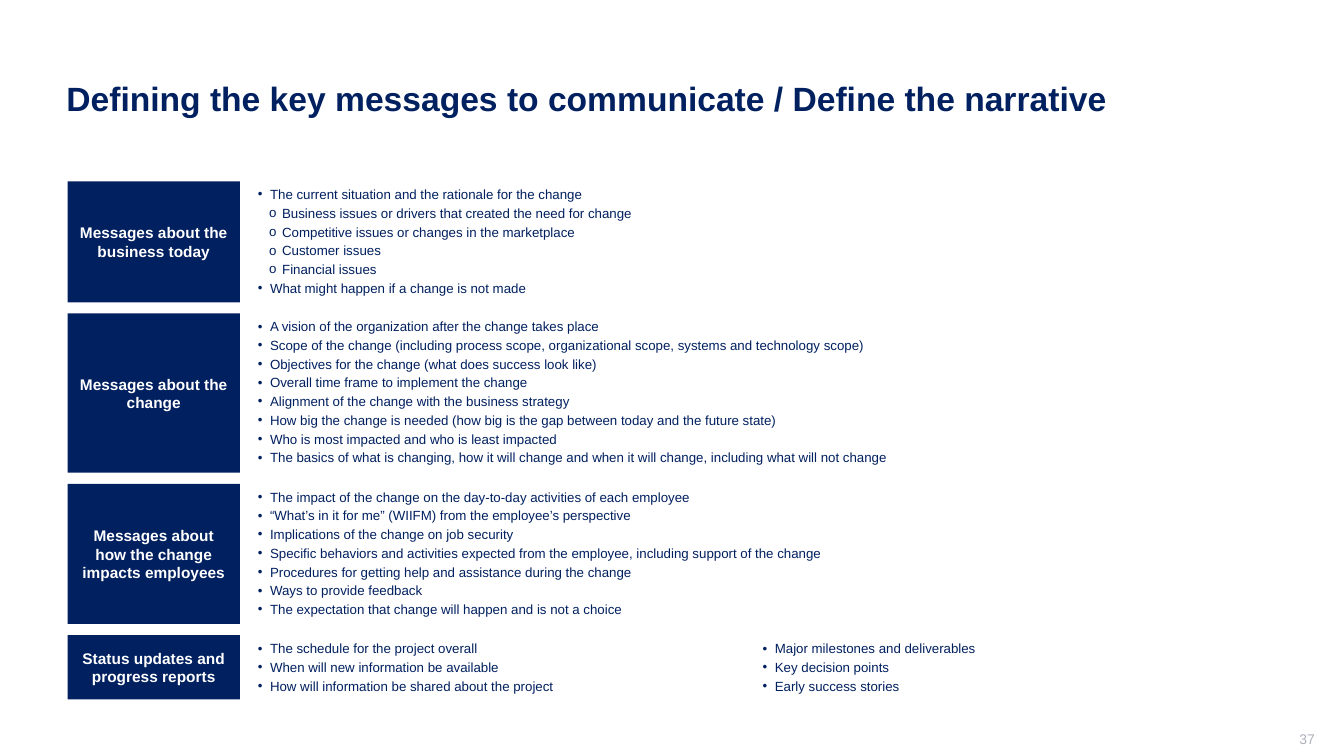
from lxml import etree
from pptx import Presentation
from pptx import util as u
from pptx.dml.color import RGBColor
from pptx.enum import shapes, text
from pptx.oxml import ns

PX = 9144  # 100 px to the inch
NAVY = RGBColor(0x00, 0x20, 0x60)
WHITE = RGBColor(0xFF, 0xFF, 0xFF)
GREY = RGBColor(0xAD, 0xAF, 0xBB)

LABEL_X, LABEL_W = 67, 171
LIST_X, LIST_W = 246, 1021
TOP, GAP = 180, 11
LINE_H, PADDING = 18.7, 8

# (label, columns, [(level, message)])
SECTIONS = [
    ("Messages about the business today", 1, [
        (0, "The current situation and the rationale for the change"),
        (1, "Business issues or drivers that created the need for change"),
        (1, "Competitive issues or changes in the marketplace"),
        (1, "Customer issues"),
        (1, "Financial issues"),
        (0, "What might happen if a change is not made"),
    ]),
    ("Messages about the change", 1, [
        (0, "A vision of the organization after the change takes place"),
        (0, "Scope of the change (including process scope, organizational scope, "
            "systems and technology scope)"),
        (0, "Objectives for the change (what does success look like)"),
        (0, "Overall time frame to implement the change"),
        (0, "Alignment of the change with the business strategy"),
        (0, "How big the change is needed (how big is the gap between today "
            "and the future state)"),
        (0, "Who is most impacted and who is least impacted"),
        (0, "The basics of what is changing, how it will change and when it will "
            "change, including what will not change"),
    ]),
    ("Messages about how the change impacts employees", 1, [
        (0, "The impact of the change on the day-to-day activities of each employee"),
        (0, "“What’s in it for me” (WIIFM) from the employee’s perspective"),
        (0, "Implications of the change on job security"),
        (0, "Specific behaviors and activities expected from the employee, "
            "including support of the change"),
        (0, "Procedures for getting help and assistance during the change"),
        (0, "Ways to provide feedback"),
        (0, "The expectation that change will happen and is not a choice"),
    ]),
    ("Status updates and progress reports", 2, [
        (0, "The schedule for the project overall"),
        (0, "When will new information be available"),
        (0, "How will information be shared about the project"),
        (0, "Major milestones and deliverables"),
        (0, "Key decision points"),
        (0, "Early success stories"),
    ]),
]
# level: (bullet, left margin, hanging indent)
BULLETS = {0: ("•", 12, -12), 1: ("o", 24, -13)}

prs = Presentation()
prs.slide_width, prs.slide_height = 1333 * PX, 750 * PX
s = prs.slides.add_slide(prs.slide_layouts[6])


def add_box(x, y, w, h, fill=None):
    """Add a text box, or a rectangle when a fill is given; return its text frame."""
    box = [v * PX for v in (x, y, w, h)]
    if fill is None:
        sp = s.shapes.add_textbox(*box)
    else:
        sp = s.shapes.add_shape(shapes.MSO_SHAPE.RECTANGLE, *box)
        sp.shadow.inherit = False
        sp.fill.solid()
        sp.fill.fore_color.rgb = fill
        sp.line.fill.background()
    tf = sp.text_frame
    tf.word_wrap = True
    tf.vertical_anchor = text.MSO_ANCHOR.MIDDLE
    return tf


def write(p, words, size, color, align, bold=False, space=0):
    p.text = words
    p.alignment = align
    p.space_before = p.space_after = u.Pt(space)
    font = p.runs[0].font
    font.name, font.size, font.bold = "Arial", u.Pt(size), bold
    font.color.rgb = color


tf = add_box(56, 40, 1211, 119)
p = tf.paragraphs[0]
write(p, "Defining the key messages to communicate / Define the narrative",
      24, NAVY, text.PP_ALIGN.LEFT, bold=True)
p.line_spacing = 0.9

tf = add_box(1004, 725, 300, 21)
tf.margin_top = tf.margin_right = 0
write(tf.paragraphs[0], "37", 10, GREY, text.PP_ALIGN.RIGHT)

y = TOP
for label, columns, messages in SECTIONS:
    h = round(LINE_H * len(messages) / columns + PADDING)

    tf = add_box(LABEL_X, y, LABEL_W, h, NAVY)
    write(tf.paragraphs[0], label, 11, WHITE, text.PP_ALIGN.CENTER, bold=True, space=2)

    tf = add_box(LIST_X, y, LIST_W, h, WHITE)
    if columns > 1:
        tf._txBody.bodyPr.set("numCol", str(columns))
    else:
        tf.vertical_anchor = text.MSO_ANCHOR.TOP
    for i, (level, message) in enumerate(messages):
        p = tf.add_paragraph() if i else tf.paragraphs[0]
        write(p, message, 9.5, NAVY, text.PP_ALIGN.LEFT, space=1)
        p.level = level
        bullet, margin, indent = BULLETS[level]
        pPr = p._p.get_or_add_pPr()
        pPr.set("marL", str(margin * PX))
        pPr.set("indent", str(indent * PX))
        clr = etree.SubElement(pPr, ns.qn("a:buClr"))
        etree.SubElement(clr, ns.qn("a:srgbClr"), val=str(NAVY))
        etree.SubElement(pPr, ns.qn("a:buFont"), typeface="Arial")
        etree.SubElement(pPr, ns.qn("a:buChar"), char=bullet)
    y += h + GAP

prs.save("out.pptx")
